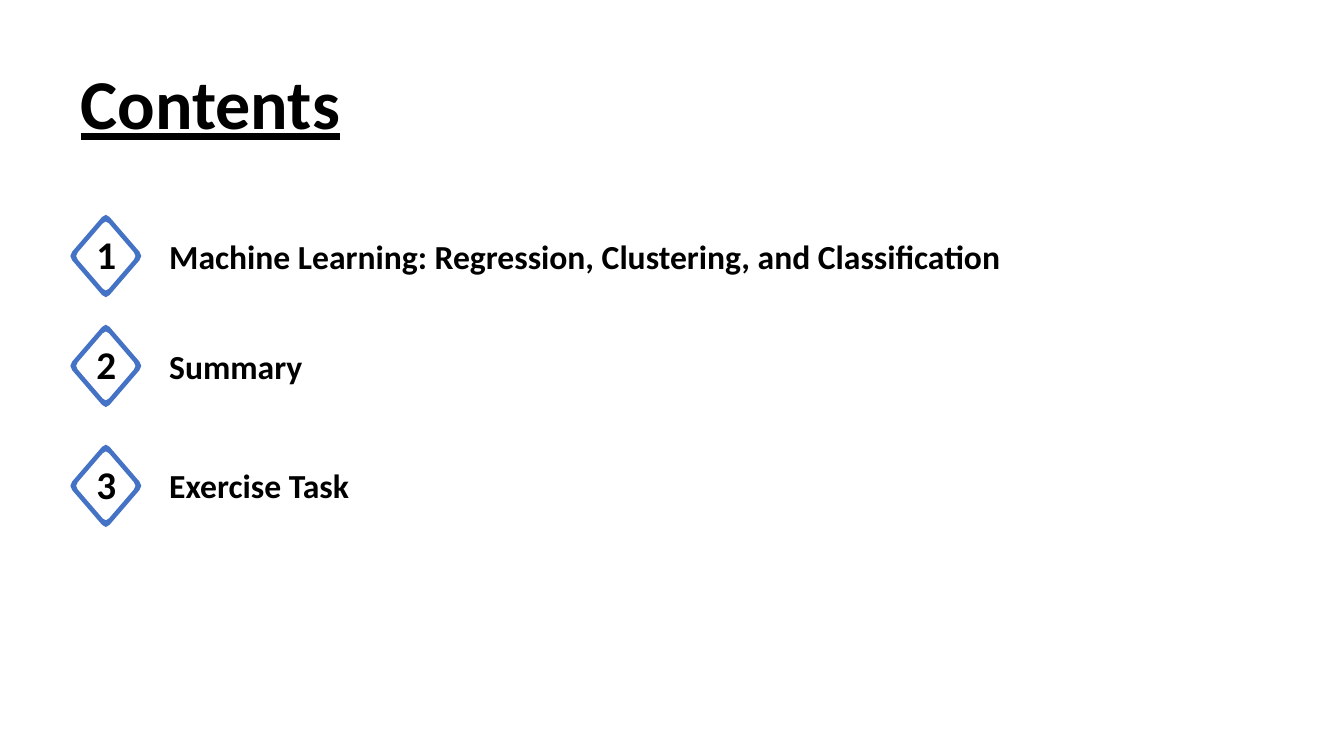
from pptx import Presentation
from pptx import util as u
from pptx.dml import color
from pptx.enum import text

inch = u.Inches


def write(box, words, size, align, **frame):
    tf = box.text_frame
    tf.text = words
    look = {"auto_size": text.MSO_AUTO_SIZE.SHAPE_TO_FIT_TEXT, "word_wrap": True,
            "vertical_anchor": text.MSO_ANCHOR.TOP}
    for key, val in {**look, **frame}.items():
        setattr(tf, key, val)
    para = tf.paragraphs[0]
    para.alignment = align
    for key, val in {"name": "Calibri", "size": u.Pt(size), "bold": True}.items():
        setattr(para.font, key, val)
    para.font.color.rgb = color.RGBColor.from_string("000000")
    return para


def diamond(x, y, wide, high):
    tips = [(0, -high), (wide, 0), (0, high), (-wide, 0)]
    dots = []
    for i, tip in enumerate(tips):
        near, far = tips[i - 1], tips[(i + 1) % 4]
        for a, b in [(0.1, 0), (0.025, 0.025), (0, 0.1)]:
            px, py = [a * n + (1 - a - b) * m + b * f for n, m, f in zip(near, tip, far)]
            dots.append((inch(x + px), inch(y + py)))
    return dots


prs = Presentation()
prs.slide_width, prs.slide_height = inch(13.33), inch(7.5)
slide = prs.slides.add_slide(prs.slide_layouts[5])
left, mid = text.PP_ALIGN.LEFT, text.PP_ALIGN.CENTER

title = slide.shapes.title
for key, val in {"left": 0.7, "top": 0.54, "width": 2.8, "height": 0.94}.items():
    setattr(title, key, inch(val))
head = write(title, "Contents", 50, left, word_wrap=False)
head.font.underline = True

items = [
    (2.14, 2.29, 8.86, "Machine Learning: Regression, Clustering, and Classification"),
    (3.23, 3.38, 7.64, "Summary"),
    (4.42, 4.56, 7.64, "Exercise Task"),
]
pads = {"margin_left": inch(0.12), "margin_right": inch(0.12)}
for num, (top, row, wide, label) in enumerate(items, 1):
    group = slide.shapes.add_group_shape()
    box = group.shapes.add_textbox(inch(0.7), inch(top + 0.1), inch(0.71), inch(0.57))
    write(box, str(num), 28, mid, **pads)

    outer = diamond(1.05, top + 0.4, 0.37, 0.43)
    inner = diamond(1.05, top + 0.4, 0.31, 0.36)[::-1]
    pen = group.shapes.build_freeform(*outer[0])
    pen.add_line_segments(outer[1:])
    pen.move_to(*inner[0])
    pen.add_line_segments(inner[1:])
    ring = pen.convert_to_shape()
    ring.shadow.inherit = False
    ring.fill.solid()
    ring.fill.fore_color.rgb = color.RGBColor.from_string("4472C4")
    ring.line.fill.background()

    box = slide.shapes.add_textbox(inch(1.58), inch(row), inch(wide), inch(0.5))
    write(box, label, 24, left)

prs.save("out.pptx")
